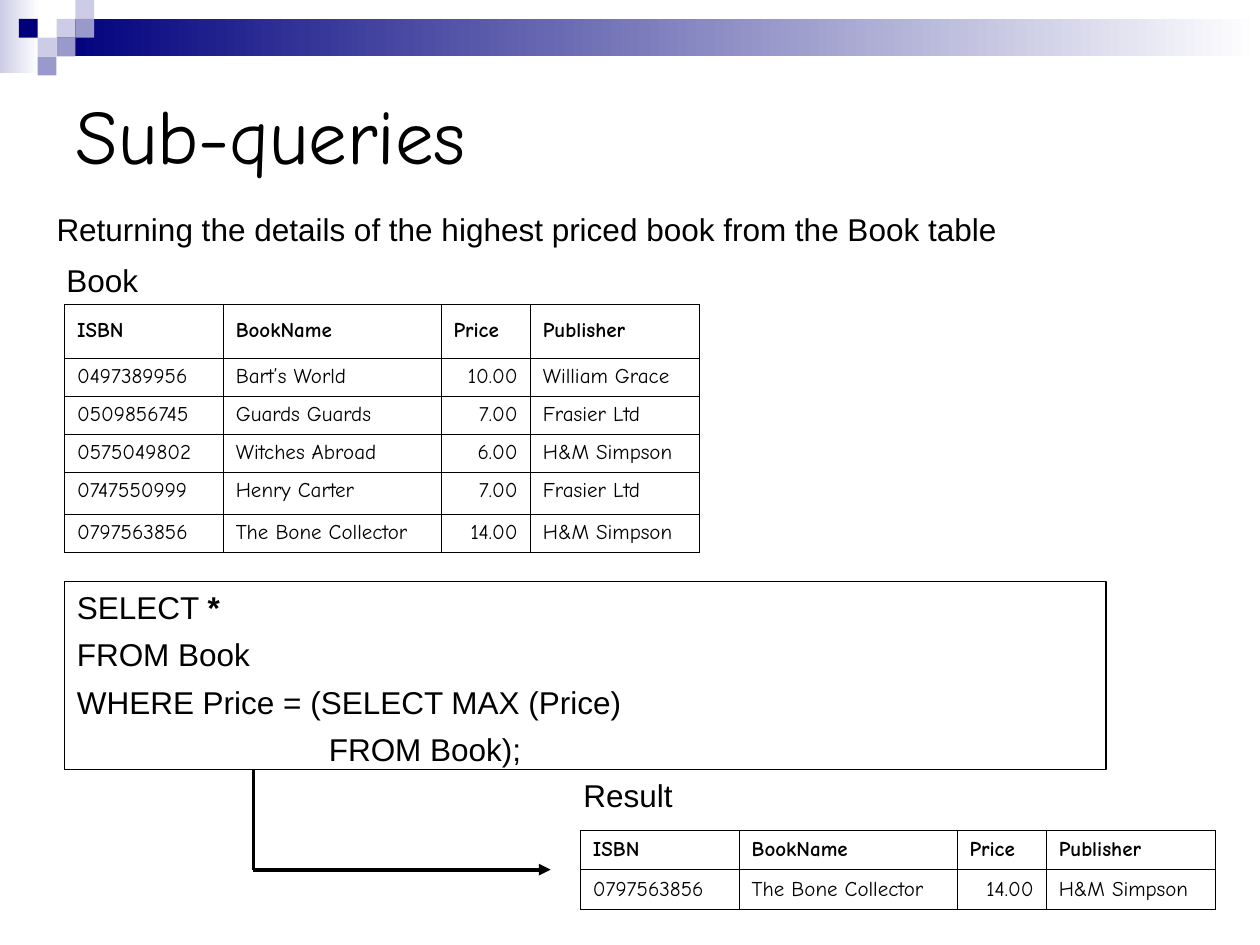
from dataclasses import dataclass

from lxml.etree import SubElement
from pptx import Presentation
from pptx.dml.color import RGBColor
from pptx.enum.shapes import MSO_CONNECTOR, MSO_SHAPE
from pptx.enum.text import MSO_ANCHOR, PP_ALIGN
from pptx.oxml.ns import qn
from pptx.util import Cm, Pt


@dataclass(frozen=True)
class Theme:
    ink: str = "000000"
    paper: str = "FFFFFF"
    navy: str = "00007D"
    pale: str = "CCCCE6"
    mid: str = "9999CC"
    display: str = "Comic Neue"
    body: str = "Arial"
    title_size: int = 44
    body_size: int = 18
    cell_size: int = 12
    border: float = 0.34
    outline: float = 0.75
    arrow: float = 2.25


THEME = Theme()

# Content
TITLE = "Sub-queries"
LABELS = [  # text, left, top, width in cm
    ("Returning the details of the highest priced book from the Book table",
     0.89, 4.11, 23.8),
    ("Book", 1.09, 5.13, 7.39),
    ("Result", 11.51, 15.52, 3.0),
]
QUERY = ["SELECT ", "FROM Book", "WHERE Price = (SELECT MAX (Price)",
         "\t\tFROM Book);"]
HEADER = ("ISBN", "BookName", "Price", "Publisher")
BOOKS = [
    ("0497389956", "Bart’s World", "10.00", "William Grace"),
    ("0509856745", "Guards Guards", "7.00", "Frasier Ltd"),
    ("0575049802", "Witches Abroad", "6.00", "H&M Simpson"),
    ("0747550999", "Henry Carter", "7.00", "Frasier Ltd"),
    ("0797563856", "The Bone Collector", "14.00", "H&M Simpson"),
]
DEAREST = max(BOOKS, key=lambda book: float(book[2]))

# Geometry in cm
COLUMNS = (3.2, 4.39, 1.8, 3.4)
BOOK_ROWS = (1.09, 0.77, 0.77, 0.77, 0.83, 0.78)
RESULT_ROWS = (0.79, 0.8)
QUERY_BOX = (1.3, 11.73, 21.0, 3.79)
ELBOW = (5.11, 17.53)
ARROW_END = 11.1
TAB = 2.54
TILE = 0.38
TILES = [  # column, row, colour
    (3, 1, THEME.pale), (4, 0, THEME.pale), (4, 1, THEME.mid),
    (2, 2, THEME.pale), (1, 1, THEME.navy), (3, 2, THEME.mid),
    (2, 3, THEME.mid),
]


def rgb(colour):
    return RGBColor.from_string(colour)


def style(font, size, name, bold=None):
    font.size, font.name, font.bold = Pt(size), name, bold
    font.color.rgb = rgb(THEME.ink)


def add_block(slide, left, top, width, height, colour, fade=False):
    block = slide.shapes.add_shape(
        MSO_SHAPE.RECTANGLE, Cm(left), Cm(top), Cm(width), Cm(height))
    block.shadow.inherit = False
    block.line.fill.background()
    if fade:
        block.fill.gradient()
        block.fill.gradient_angle = 0
        for stop, shade in zip(block.fill.gradient_stops, (colour, THEME.paper)):
            stop.color.rgb = rgb(shade)
    else:
        block.fill.solid()
        block.fill.fore_color.rgb = rgb(colour)


def add_label(slide, text, left, top, width):
    label = slide.shapes.add_textbox(Cm(left), Cm(top), Cm(width), Cm(1.02))
    label.text_frame.word_wrap = True
    label.text_frame.text = text
    style(label.text_frame.paragraphs[0].runs[0].font,
          THEME.body_size, THEME.body)


def add_query(slide):
    box = slide.shapes.add_shape(
        MSO_SHAPE.RECTANGLE, *(Cm(side) for side in QUERY_BOX))
    box.shadow.inherit = False
    box.fill.background()
    box.line.color.rgb = rgb(THEME.ink)
    box.line.width = Pt(THEME.outline)
    frame = box.text_frame
    frame.word_wrap = True
    frame.vertical_anchor = MSO_ANCHOR.TOP
    frame.text = "\n".join(QUERY)
    frame.paragraphs[0].add_run().text = "*"
    for index, line in enumerate(frame.paragraphs):
        line.alignment = PP_ALIGN.LEFT
        if index:
            line.space_before = Pt(5.4)
        stops = SubElement(line._p.get_or_add_pPr(), qn("a:tabLst"))
        for step in (1, 2):
            SubElement(stops, qn("a:tab"), pos=str(Cm(TAB * step)), algn="l")
        for run in line.runs:
            style(run.font, THEME.body_size, THEME.body, bold=run.text == "*")


def add_borders(cell):
    properties = cell._tc.get_or_add_tcPr()
    for side in ("lnL", "lnR", "lnT", "lnB"):
        edge = SubElement(properties, qn(f"a:{side}"),
                          w=str(Pt(THEME.border)))
        SubElement(SubElement(edge, qn("a:solidFill")),
                   qn("a:srgbClr"), val=THEME.ink)


def add_books(slide, books, left, top, heights, anchor):
    rows = [HEADER, *books]
    table = slide.shapes.add_table(
        len(rows), len(HEADER), Cm(left), Cm(top),
        Cm(sum(COLUMNS)), Cm(sum(heights))).table
    table.first_row = table.horz_banding = False
    for column, width in zip(table.columns, COLUMNS):
        column.width = Cm(width)
    for r, (values, height) in enumerate(zip(rows, heights)):
        table.rows[r].height = Cm(height)
        heading = r == 0
        for c, value in enumerate(values):
            cell = table.cell(r, c)
            cell.text = value
            cell.vertical_anchor = MSO_ANCHOR.MIDDLE if heading else anchor
            add_borders(cell)
            if heading:
                cell.fill.background()
            else:
                cell.fill.solid()
                cell.fill.fore_color.rgb = rgb(THEME.paper)
            entry = cell.text_frame.paragraphs[0]
            if HEADER[c] == "Price" and not heading:
                entry.alignment = PP_ALIGN.RIGHT
            style(entry.runs[0].font, THEME.cell_size, THEME.display, heading)


def add_line(slide, start, end, arrow=False):
    connector = slide.shapes.add_connector(
        MSO_CONNECTOR.STRAIGHT, *(Cm(value) for value in (*start, *end)))
    connector.line.color.rgb = rgb(THEME.ink)
    connector.line.width = Pt(THEME.arrow)
    if arrow:
        SubElement(connector.line._get_or_add_ln(), qn("a:tailEnd"),
                   type="triangle")
    SubElement(connector._element.spPr, qn("a:effectLst"))


def main():
    deck = Presentation()
    deck.slide_width, deck.slide_height = Cm(25.4), Cm(19.05)
    slide = deck.slides.add_slide(deck.slide_layouts[5])

    # Header band and tiles
    add_block(slide, 0, 0, 0.79, 1.47, THEME.pale, fade=True)
    add_block(slide, 3 * TILE, TILE, 25.4 - 3 * TILE, 2 * TILE,
              THEME.navy, fade=True)
    for column, row, colour in TILES:
        add_block(slide, column * TILE, row * TILE, TILE, TILE, colour)

    # Title
    title = slide.shapes.title
    title.left, title.top, title.width, title.height = (
        Cm(1.27), Cm(1.27), Cm(22.86), Cm(2.84))
    title.text_frame.text = TITLE
    title.text_frame.vertical_anchor = MSO_ANCHOR.MIDDLE
    heading = title.text_frame.paragraphs[0]
    heading.alignment = PP_ALIGN.LEFT
    style(heading.runs[0].font, THEME.title_size, THEME.display)

    # Labels, query and tables
    for label in LABELS:
        add_label(slide, *label)
    add_query(slide)
    add_books(slide, BOOKS, 1.3, 6.13, BOOK_ROWS, MSO_ANCHOR.TOP)
    add_books(slide, [DEAREST], 11.7, 16.74, RESULT_ROWS, MSO_ANCHOR.MIDDLE)

    # Path from query to result
    add_line(slide, ELBOW, (ARROW_END, ELBOW[1]), arrow=True)
    add_line(slide, ELBOW, (ELBOW[0], QUERY_BOX[1] + QUERY_BOX[3]))

    deck.save("out.pptx")


if __name__ == "__main__":
    main()
